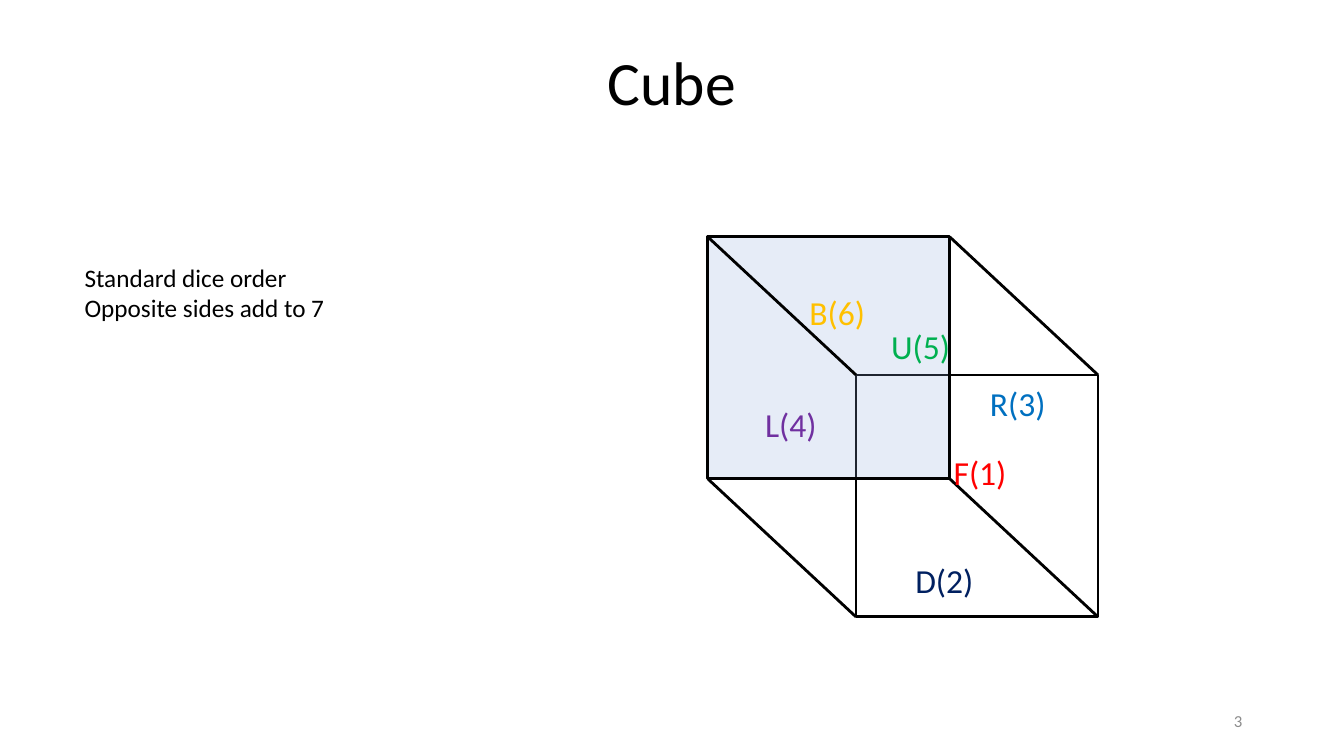
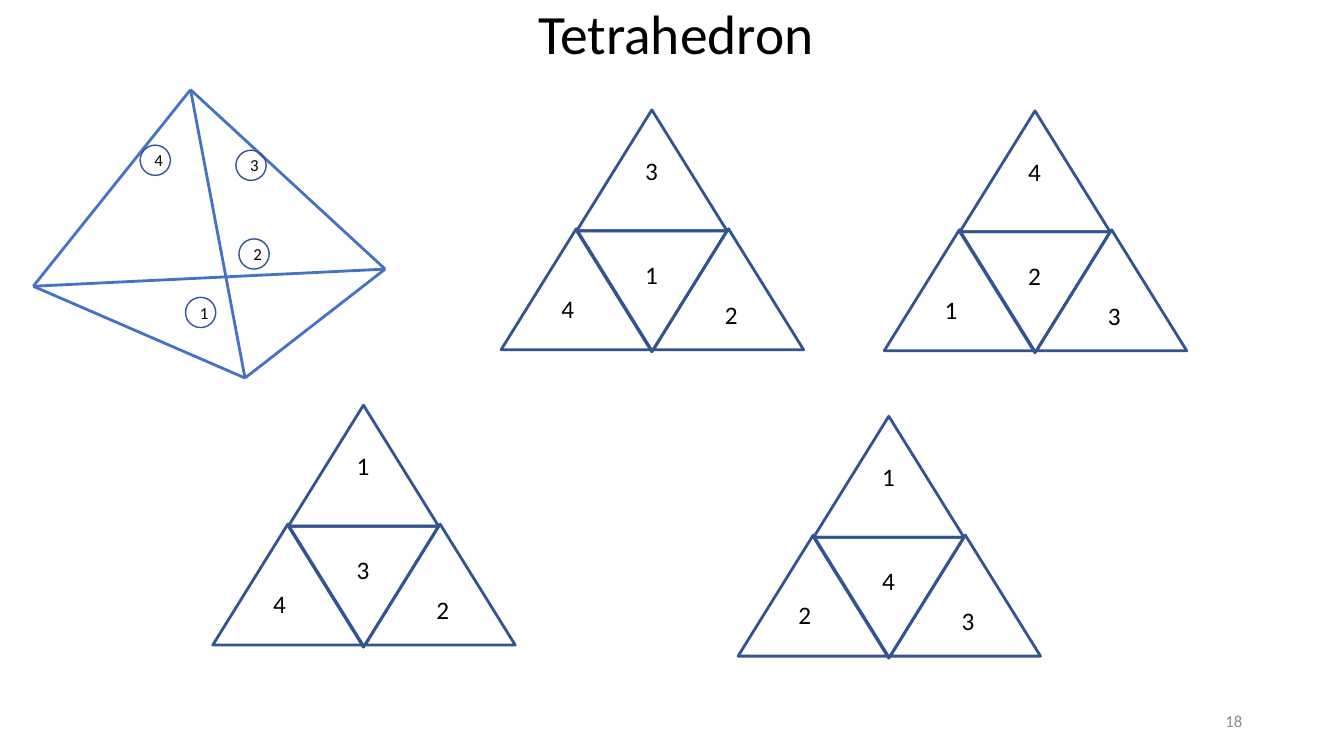
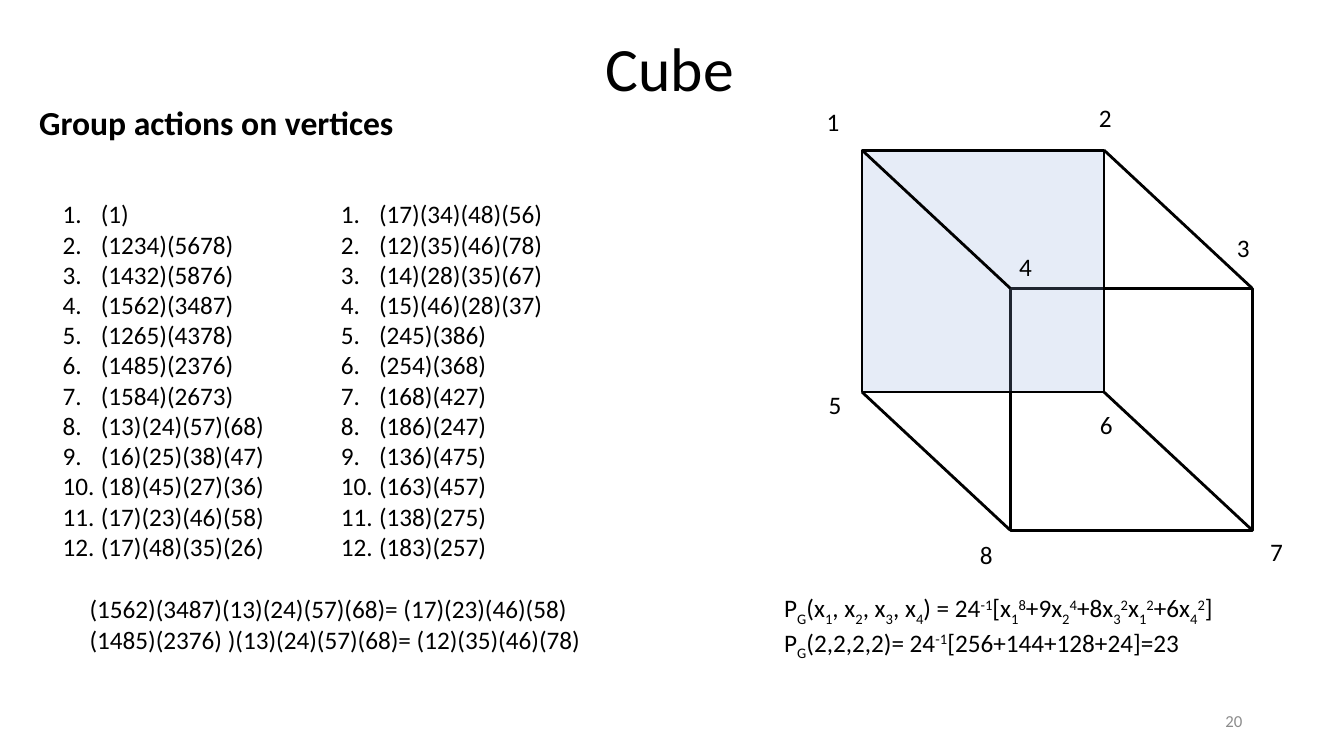
from itertools import combinations

from lxml import etree
from pptx import Presentation
from pptx import util as u
from pptx.dml.color import RGBColor
from pptx.enum import shapes, text
from pptx.oxml import ns

BLACK, GREY, BLUE, NAVY = "000000", "8C8C8C", "4472C4", "325491"
FACE = "8FAADC"
FONT = "Calibri"
BASELINES = {"_": "-25000", "^": "30000"}
TITLE_ONLY, TWO_LISTS = 5, 3
CUBE_SIDE, CUBE_SHIFT = 2.4, (1.47, 1.37)
TRIANGLE = (1.49, 1.2)


def colour(value):
    return RGBColor.from_string(value)


def set_values(target, values):
    for name, value in values.items():
        setattr(target, name, value)


def add_child(parent, tag, **attributes):
    return etree.SubElement(parent, ns.qn(tag), attributes)


class Deck:
    """Holds the shared style and the slide being drawn."""

    def __init__(self):
        self.presentation = Presentation()
        set_values(self.presentation, {"slide_width": u.Inches(13.33),
                                       "slide_height": u.Inches(7.5)})
        self.slide = None

    def start(self, title, box, number, size=44, layout=TITLE_ONLY):
        layouts = self.presentation.slide_layouts
        self.slide = self.presentation.slides.add_slide(layouts[layout])
        shape = self.slide.shapes.title
        self.place(shape, box)
        self.fill_text(shape.text_frame, [title], size, align="CENTER",
                       anchor="MIDDLE", line_spacing=0.9)
        self.label([number], (9.42, 6.95, 3, 0.4), 12, GREY,
                   align="RIGHT", anchor="MIDDLE")

    def place(self, shape, box):
        names = ("left", "top", "width", "height")
        set_values(shape, dict(zip(names, map(u.Inches, box))))

    def fill_text(self, frame, lines, size, ink=BLACK, bold=False,
                  align="LEFT", anchor="TOP", line_spacing=1.0,
                  numbered=False):
        """Fill a frame; | separates runs, _ and ^ lower or raise a run."""
        set_values(frame, {"word_wrap": True,
                           "auto_size": text.MSO_AUTO_SIZE.NONE,
                           "vertical_anchor": text.MSO_ANCHOR[anchor]})
        for index, line in enumerate(lines):
            paragraph = frame.add_paragraph() if index else frame.paragraphs[0]
            set_values(paragraph, {"alignment": text.PP_ALIGN[align],
                                   "line_spacing": line_spacing,
                                   "space_before": u.Pt(0)})
            if numbered:
                properties = paragraph._p.get_or_add_pPr()
                indent = u.Inches(0.38)
                properties.set("marL", str(indent))
                properties.set("indent", str(-indent))
                add_child(properties, "a:buFont", typeface="+mj-lt")
                add_child(properties, "a:buAutoNum", type="arabicPeriod")
            for part in line.split("|"):
                run = paragraph.add_run()
                run.text = part.lstrip("_^")
                set_values(run.font, {"name": FONT, "size": u.Pt(size),
                                      "bold": bold})
                run.font.color.rgb = colour(ink)
                if part[0] in BASELINES:
                    run._r.get_or_add_rPr().set("baseline", BASELINES[part[0]])

    def label(self, lines, box, size=18, ink=BLACK, **style):
        shape = self.slide.shapes.add_textbox(*map(u.Inches, box))
        self.fill_text(shape.text_frame, lines, size, ink, **style)

    def numbered_list(self, index, lines, box):
        shape = self.slide.placeholders[index]
        self.place(shape, box)
        self.fill_text(shape.text_frame, lines, 18, numbered=True)

    def shape(self, kind, box, line, width=2, fill=None, alpha=100, rotation=0):
        shape = self.slide.shapes.add_shape(shapes.MSO_SHAPE[kind],
                                            *map(u.Inches, box))
        shape.shadow.inherit = False
        shape.rotation = rotation
        shape.line.color.rgb = colour(line)
        shape.line.width = u.Pt(width)
        if fill:
            shape.fill.solid()
            shape.fill.fore_color.rgb = colour(fill)
            tint = shape._element.spPr.find(".//" + ns.qn("a:srgbClr"))
            add_child(tint, "a:alpha", val=str(alpha * 1000))
        else:
            shape.fill.background()
        return shape

    def line(self, start, end, ink):
        connector = self.slide.shapes.add_connector(
            shapes.MSO_CONNECTOR.STRAIGHT, *map(u.Inches, (*start, *end)))
        connector.line.color.rgb = colour(ink)
        connector.line.width = u.Pt(2)
        add_child(connector._element.spPr, "a:effectLst")

    def cube(self, left, top):
        across, down = CUBE_SHIFT
        side = CUBE_SIDE
        self.shape("RECTANGLE", (left + across, top + down, side, side), BLACK)
        self.shape("RECTANGLE", (left, top, side, side), BLACK,
                   fill=FACE, alpha=22)
        for x in (left, left + side):
            for y in (top, top + side):
                self.line((x, y), (x + across, y + down), BLACK)

    def net(self, left, top, digits):
        """Draw four triangles; digits run top, centre, left, right."""
        faces = [((0, 0), 0, (0.58, 0.4)), ((0, 1.2), 180, (0.58, 1.43)),
                 ((-0.75, 1.18), 0, (-0.25, 1.77)),
                 ((0.76, 1.18), 0, (1.37, 1.83))]
        for digit, ((x, y), rotation, (label_x, label_y)) in zip(digits, faces):
            self.shape("ISOSCELES_TRIANGLE", (left + x, top + y, *TRIANGLE),
                       NAVY, rotation=rotation)
            self.label([digit], (left + label_x, top + label_y, 0.33, 0.4))

    def badge(self, digit, left, top):
        shape = self.shape("OVAL", (left, top, 0.3, 0.3), NAVY, width=1)
        self.fill_text(shape.text_frame, [digit], 12, align="CENTER",
                       anchor="MIDDLE")


def dice_slide(deck):
    deck.start("Cube", (0.21, 0.37, 12.91, 0.96), "3")
    deck.cube(7.02, 2.35)
    for name, left, top, ink in [
            ("B(6)", 7.93, 2.85, "FFC000"), ("R(3)", 9.72, 3.75, "0070C0"),
            ("D(2)", 8.98, 5.51, "002060"), ("L(4)", 7.49, 3.96, "7030A0"),
            ("U(5)", 8.74, 3.18, "00B050"), ("F(1)", 9.36, 4.43, "FF0000")]:
        deck.label([name], (left, top, 1.2, 0.5), 24, ink)
    deck.label(["Standard dice order", "Opposite sides add to 7"],
               (0.74, 2.55, 3.08, 0.71))


def tetrahedron_slide(deck):
    deck.start("Tetrahedron", (0.25, 0.05, 12.91, 0.62), "18", size=39.6)
    vertices = [(1.89, 0.89), (0.33, 2.84), (3.82, 2.67), (2.43, 3.75)]
    for start, end in combinations(vertices, 2):
        deck.line(start, end, BLUE)
    for badge in [("1", 1.84, 2.95), ("2", 2.37, 2.37),
                  ("3", 2.34, 1.49), ("4", 1.39, 1.44)]:
        deck.badge(*badge)
    for net in [(5.72, 1.09, "3142"), (9.52, 1.1, "4213"),
                (2.86, 4.02, "1342"), (8.07, 4.13, "1423")]:
        deck.net(*net)


def vertices_slide(deck):
    deck.start("Cube", (0.25, 0.1, 12.79, 1.22), "20", layout=TWO_LISTS)
    deck.cube(8.55, 1.49)
    deck.label(["Group actions on vertices"], (0.29, 0.96, 4.12, 0.5), 24,
               bold=True)
    deck.numbered_list(1, [
        "(1)", "(1234)(5678)", "(1432)(5876)", "(1562)(3487)",
        "(1265)(4378)", "(1485)(2376)", "(1584)(2673)", "(13)(24)(57)(68)",
        "(16)(25)(38)(47)", "(18)(45)(27)(36)", "(17)(23)(46)(58)",
        "(17)(48)(35)(26)"], (0.52, 1.92, 2.7, 3.89))
    deck.numbered_list(2, [
        "(17)(34)(48)(56)", "(12)(35)(46)(78)", "(14)(28)(35)(67)",
        "(15)(46)(28)(37)", "(245)(386)", "(254)(368)", "(168)(427)",
        "(186)(247)", "(136)(475)", "(163)(457)", "(138)(275)",
        "(183)(257)"], (3.28, 1.92, 2.96, 3.89))
    for vertex, left, top in [
            ("1", 8.1, 1.01), ("2", 10.8, 0.97), ("3", 12.17, 2.26),
            ("4", 10.01, 2.44), ("5", 8.12, 3.81), ("6", 10.81, 4.01),
            ("7", 12.5, 5.27), ("8", 9.62, 5.3)]:
        deck.label([vertex], (left, top, 0.33, 0.4))
    deck.label([
        "P|_G|(x|_1|, x|_2|, x|_3|, x|_4|) = 24|^-1|[x|_1|^8|+9x|_2|^4"
        "|+8x|_3|^2|x|_1|^2|+6x|_4|^2|]",
        "P|_G|(2,2,2,2)= 24|^-1|[256+144+128+24]=23"],
        (7.68, 5.83, 5.36, 0.71))
    deck.label(["(1562)(3487)(13)(24)(57)(68)= (17)(23)(46)(58)",
                "(1485)(2376) )(13)(24)(57)(68)= (12)(35)(46)(78)"],
               (0.79, 5.84, 6.56, 0.71))


def main():
    deck = Deck()
    for build in (dice_slide, tetrahedron_slide, vertices_slide):
        build(deck)
    deck.presentation.save("out.pptx")


if __name__ == "__main__":
    main()
